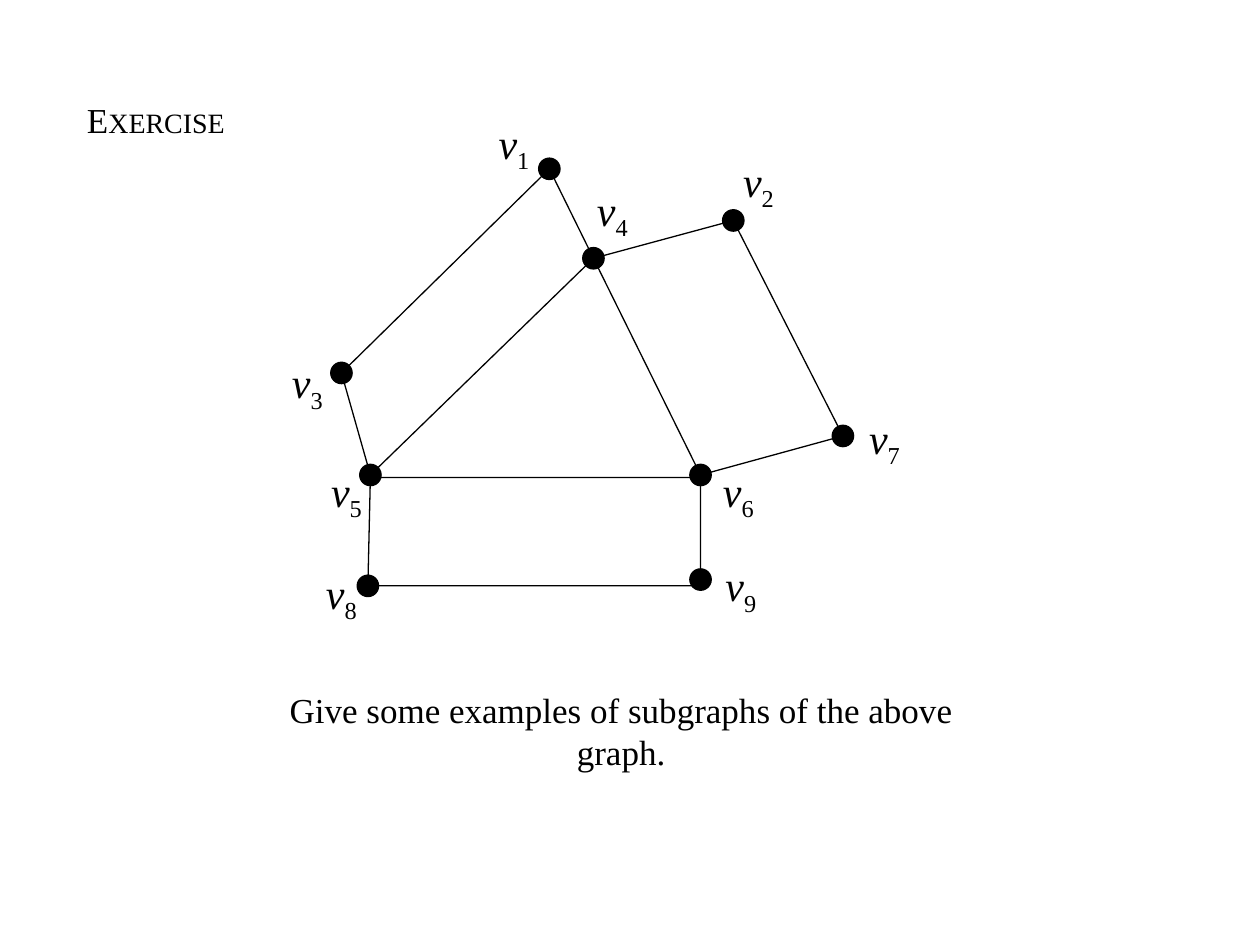
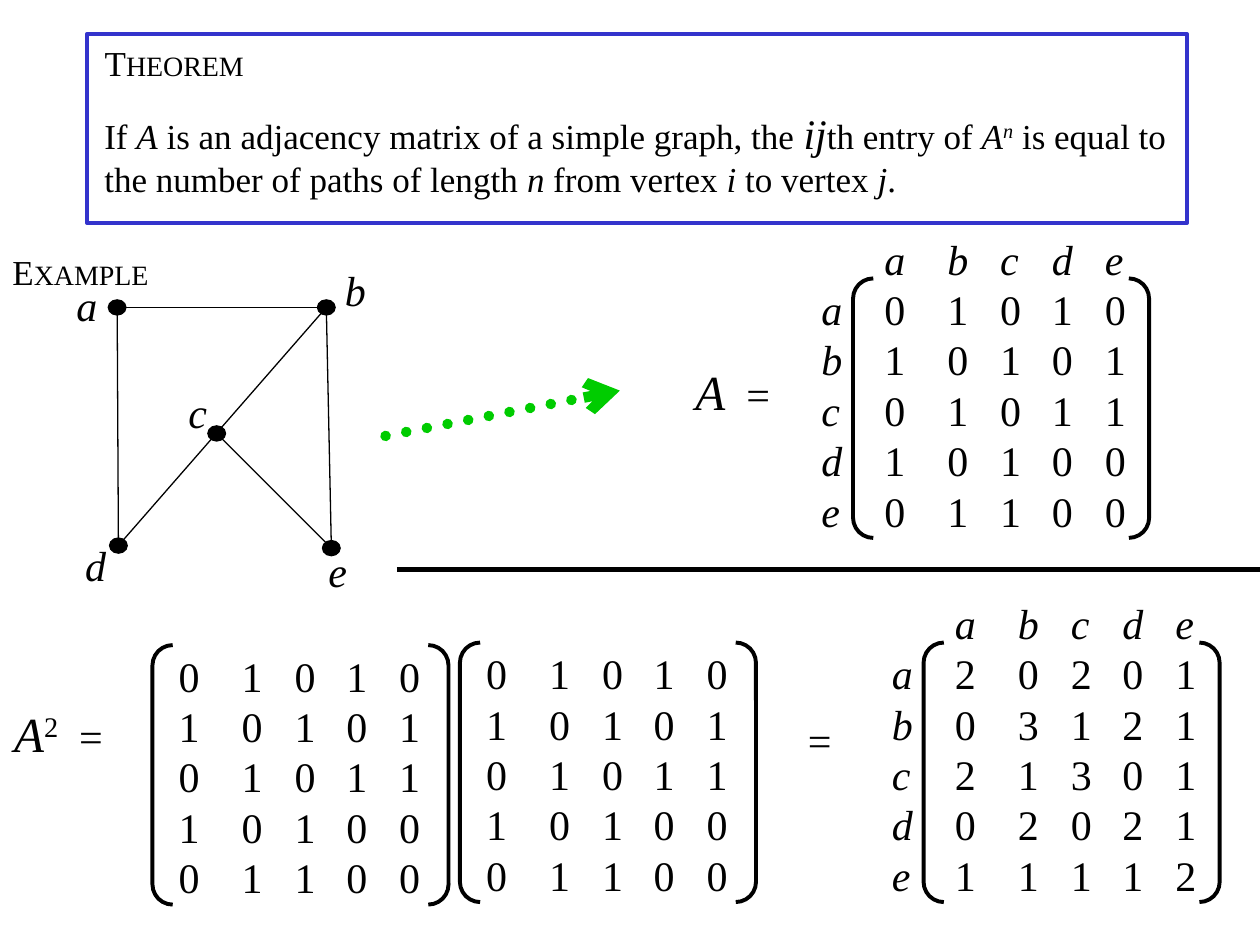
from lxml import etree
from pptx import Presentation, util as u
from pptx.dml.color import RGBColor
from pptx.enum import dml, shapes, text
from pptx.oxml.ns import qn

FONT, BLACK, BLUE, GREEN = "Times New Roman", "000000", "3333CC", "00CC00"
COLS, ROWS = 10, 7.5
LEFT, CENTER = text.PP_ALIGN.LEFT, text.PP_ALIGN.CENTER
ITALIC = {"italic": True}
ADJACENCY = ["01010", "10101", "01011", "10100", "01100"]
SQUARE = ["20201", "03121", "21301", "02021", "11112"]

prs = Presentation()
prs.slide_width, prs.slide_height = u.Inches(10), u.Inches(7.5)


def gx(cols):
    """Turn grid columns into a length."""
    return round(prs.slide_width * cols / COLS)


def gy(rows):
    """Turn grid rows into a length."""
    return round(prs.slide_height * rows / ROWS)


def place(x, y, w, h):
    """Turn a box on the grid into lengths."""
    return gx(x), gy(y), gx(w), gy(h)


def color(value):
    """Turn a hex string into a colour."""
    return RGBColor.from_string(value)


def child(parent, tag, **attrs):
    """Append a DrawingML element with attributes."""
    e = etree.SubElement(parent, qn(tag))
    for key, value in attrs.items():
        e.set(key, str(value))
    return e


def write(p, runs, size, align):
    """Fill a paragraph with (text, format) runs."""
    p.alignment = align
    for words, fmt in runs:
        r = p.add_run()
        r.text = words
        r.font.color.rgb = color(BLACK)
        base = {"name": FONT, "size": size, "bold": False, "italic": False}
        for key, value in {**base, **fmt}.items():
            if key == "baseline":
                r._r.get_or_add_rPr().set(key, str(value * 1000))
            else:
                setattr(r.font, key, u.Pt(value) if key == "size" else value)


def fill_text(sp, paragraphs, size=24, align=CENTER, wrap=True):
    """Format a text shape and write its paragraphs."""
    tf = sp.text_frame
    fmt = {"word_wrap": wrap, "auto_size": text.MSO_AUTO_SIZE.NONE,
           "vertical_anchor": text.MSO_ANCHOR.MIDDLE}
    for key, value in fmt.items():
        setattr(tf, key, value)
    for i, runs in enumerate(paragraphs):
        p = tf.add_paragraph() if i else tf.paragraphs[0]
        write(p, runs, size, align)
    return tf


def text_box(s, box, paragraphs, **fmt):
    """Add a text box on the grid."""
    return fill_text(s.shapes.add_textbox(*place(*box)), paragraphs, **fmt)


def small_caps(word):
    """Make runs with a large first letter and smaller capitals."""
    return [(word[0], {"size": 20}), (word[1:], {"size": 16})]


def new_slide(title, box):
    """Add a slide with a small-caps title."""
    s = prs.slides.add_slide(prs.slide_layouts[5])
    sp = s.shapes.title
    sp.left, sp.top, sp.width, sp.height = place(*box)
    fill_text(sp, [small_caps(title)], align=LEFT)
    return s


def style(sp, fill=None, line=BLACK, width=0.75):
    """Set fill and outline and drop the shadow."""
    sp.shadow.inherit = False
    if fill:
        sp.fill.solid()
        sp.fill.fore_color.rgb = color(fill)
    else:
        sp.fill.background()
    sp.line.color.rgb, sp.line.width = color(line), u.Pt(width)
    return sp


def add_line(s, start, end, line=BLACK, width=0.75):
    """Add a straight line between two grid points."""
    (x1, y1), (x2, y2) = start, end
    c = s.shapes.add_connector(shapes.MSO_CONNECTOR.STRAIGHT, gx(x1), gy(y1), gx(x2), gy(y2))
    c.line.color.rgb, c.line.width = color(line), u.Pt(width)
    child(c._element.spPr, "a:effectLst")
    return c


def dotted_arrow(s, start, end):
    """Add a thick green arrow of round dots."""
    c = add_line(s, start, end, GREEN, 6)
    c.line.dash_style = dml.MSO_LINE.ROUND_DOT
    ln = c.line._get_or_add_ln()
    ln.set("cap", "rnd")
    child(ln, "a:tailEnd", type="arrow")


def graph(s, origin, nodes, edges, dot):
    """Draw edges, round vertices and italic labels from an origin."""
    ox, oy = origin
    w, h = dot
    spots = {name: (ox + n[0], oy + n[1]) for name, n in nodes.items()}
    for a, b in edges:
        add_line(s, spots[a], spots[b])
    for name, (x, y) in spots.items():
        style(s.shapes.add_shape(shapes.MSO_SHAPE.OVAL, *place(x - w / 2, y - h / 2, w, h)), BLACK)
        dx, dy = nodes[name][2:]
        runs = [(name[0], ITALIC)]
        if name[1:]:
            runs.append((name[1:], {"baseline": -25}))
        text_box(s, (x + dx - 0.23, y + dy - 0.25, 0.46, 0.5), [runs], wrap=False)


def outline(s, points):
    """Draw a closed unfilled polygon through grid points."""
    (x, y), *rest = [(gx(a), gy(b)) for a, b in points]
    fb = s.shapes.build_freeform(x, y)
    fb.add_line_segments(rest, close=True)
    style(fb.convert_to_shape())


def matrix(s, box, rows, labels=""):
    """Draw a bracketed matrix, with row and column labels if given."""
    x, y, w, h = box
    sp = style(s.shapes.add_shape(shapes.MSO_SHAPE.DOUBLE_BRACKET, *place(*box)), width=2.25)
    sp.adjustments[0] = 0.078
    stops = [0.5, 0.92, 1.33, 1.75]
    lines = [[("\t".join(row), {})] for row in rows]
    area = (x + 0.11, y - 0.01, w, h + 0.04)
    if labels:
        stops = [0.5] + [0.5 + stop for stop in stops]
        lines = [[(name + "\t", ITALIC)] + line for name, line in zip(labels, lines)]
        lines.insert(0, [("\t" + "\t".join(labels), ITALIC)])
        area = (x - 0.35, y - 0.41, w + 0.45, h + 0.44)
    tf = text_box(s, area, lines, align=LEFT)
    for p in tf.paragraphs:
        tabs = child(p._p.get_or_add_pPr(), "a:tabLst")
        for stop in stops:
            child(tabs, "a:tab", pos=gx(stop), algn="l")


def theorem(s, box):
    """Draw the framed statement below the title."""
    x, y, w, h = box
    lines = [
        [("If ", {}), ("A", ITALIC), (" is an adjacency matrix of a simple graph, the ", {}),
         ("ij", {"size": 24, **ITALIC}), ("th entry of ", {}), ("A", ITALIC),
         ("n", {"baseline": 30, **ITALIC}), (" is equal to ", {})],
        [("the number of paths of length ", {}), ("n", ITALIC), (" from vertex ", {}),
         ("i", ITALIC), (" to vertex ", {}), ("j", ITALIC), (".", {})],
    ]
    text_box(s, (x + 0.04, y + 0.53, w, 0.84), lines, size=20, align=LEFT)
    style(s.shapes.add_shape(shapes.MSO_SHAPE.RECTANGLE, *place(*box)), line=BLUE, width=2.25)


def exercise_slide():
    """Build the subgraph exercise."""
    s = new_slide("EXERCISE", (0.59, 0.73, 1.6, 0.43))
    nodes = {
        "v1": (1.86, 0.43, -0.28, -0.18), "v2": (3.32, 0.84, 0.2, -0.29),
        "v3": (0.21, 2.05, -0.27, 0.1), "v4": (2.21, 1.14, 0.15, -0.36),
        "v5": (0.44, 2.86, -0.19, 0.15), "v6": (3.06, 2.86, 0.3, 0.15),
        "v7": (4.19, 2.55, 0.33, 0.04), "v8": (0.42, 3.74, -0.21, 0.08),
        "v9": (3.06, 3.69, 0.32, 0.07),
    }
    pairs = "13 35 14 45 42 27 46 67".split()
    outline(s, [(2.94, 3.79), (5.56, 3.79), (5.56, 4.65), (2.92, 4.65)])
    graph(s, (2.5, 0.91), nodes, [("v" + a, "v" + b) for a, b in pairs], (0.17, 0.17))
    question = "Give some examples of subgraphs of the above graph."
    text_box(s, (1.88, 5.41, 6.1, 0.77), [[(question, {})]], size=20)


def theorem_slide():
    """Build the theorem on powers of an adjacency matrix."""
    s = new_slide("THEOREM", (0.73, 0.27, 2, 0.46))
    theorem(s, (0.69, 0.27, 8.73, 1.5))
    text_box(s, (0, 1.94, 1.6, 0.43), [small_caps("EXAMPLE")], align=LEFT)
    nodes = {
        "a": (0.13, 0.24, -0.24, -0.02), "b": (1.79, 0.24, 0.23, -0.14),
        "c": (0.92, 1.24, -0.15, -0.17), "d": (0.14, 2.13, -0.18, 0.15),
        "e": (1.83, 2.15, 0.05, 0.18),
    }
    graph(s, (0.8, 2.2), nodes, ["db", "ab", "ce", "ad", "be"], (0.14, 0.12))
    dotted_arrow(s, (3.06, 3.46), (4.92, 3.1))
    add_line(s, (3.15, 4.52), (10, 4.52), width=3)
    big = {"size": 28, **ITALIC}
    power = ("2", {"size": 28, "baseline": 30})
    equals = [("  =", {})]
    text_box(s, (5.42, 2.82, 0.79, 0.57), [[("A", big)] + equals], wrap=False)
    text_box(s, (0, 5.53, 0.93, 0.57), [[("A", big), power] + equals], wrap=False)
    text_box(s, (6.31, 5.62, 0.39, 0.5), [[("=", {})]], wrap=False)
    size = (2.35, 2.06)
    matrix(s, (6.77, 2.21, *size), ADJACENCY, "abcde")
    matrix(s, (1.21, 5.12, *size), ADJACENCY)
    matrix(s, (3.65, 5.1, *size), ADJACENCY)
    matrix(s, (7.33, 5.1, *size), SQUARE, "abcde")


exercise_slide()
theorem_slide()
prs.save("out.pptx")
